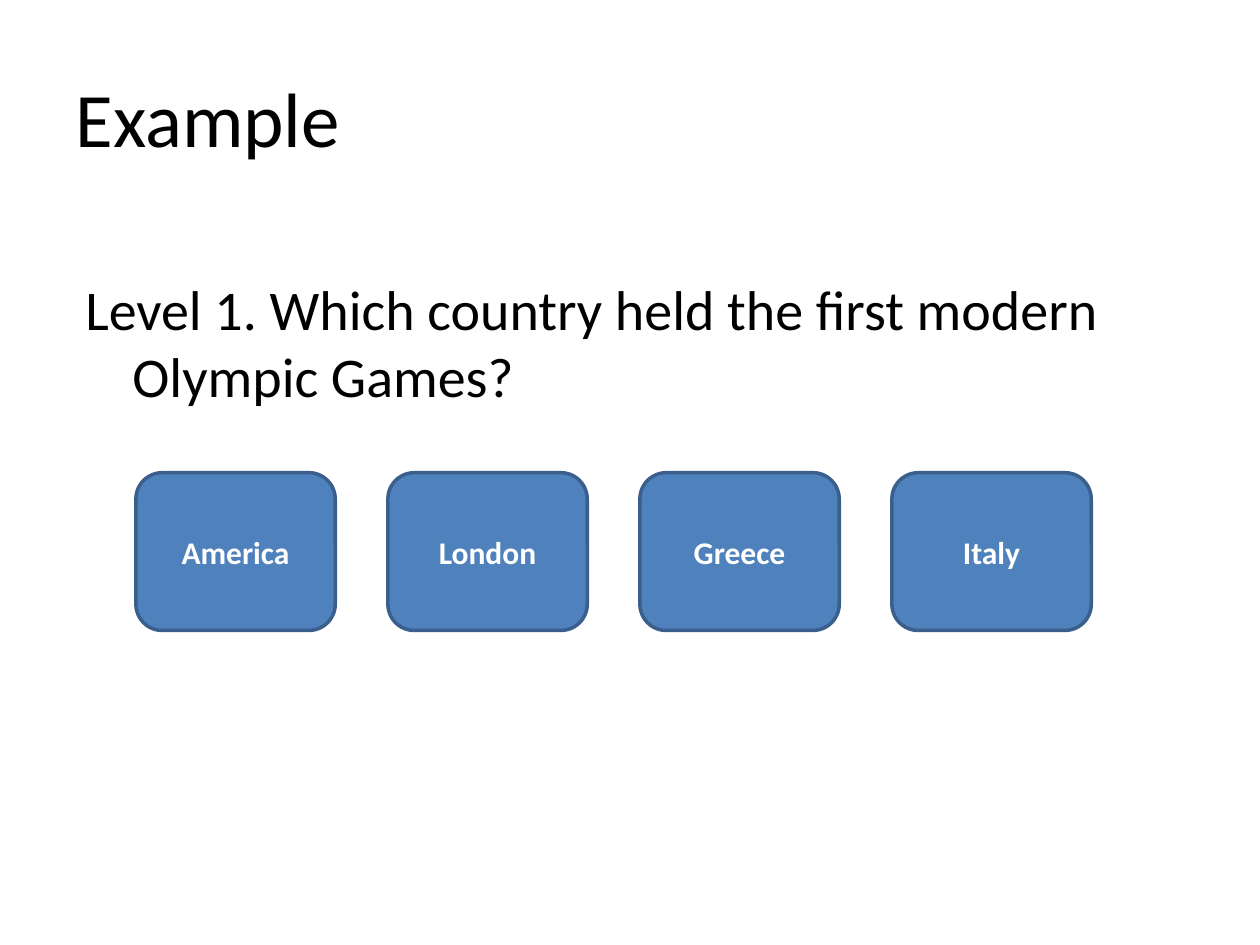
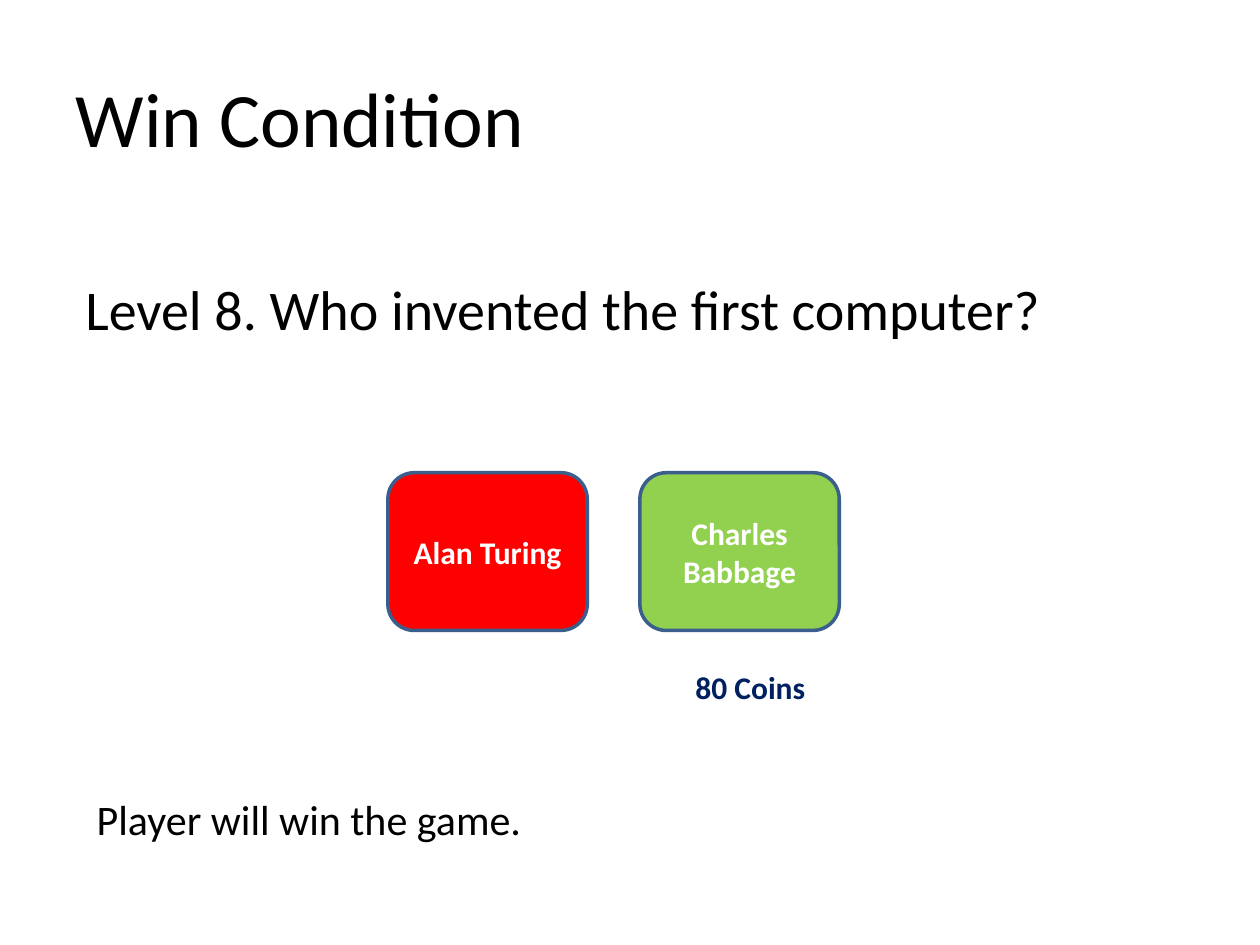
from pptx import Presentation
from pptx.dml.color import RGBColor
from pptx.enum.shapes import MSO_SHAPE
from pptx.enum.text import MSO_ANCHOR, MSO_AUTO_SIZE, PP_ALIGN
from pptx.util import Cm, Pt

COLOURS = {
    "text": "000000",
    "answer": "4F81BD",
    "wrong": "FF0000",
    "right": "92D050",
    "outline": "3A5F8C",
    "label": "FFFFFF",
    "reward": "002060",
}

# Boxes in centimetres: left, top, width, height
TITLE_BOX = (1.27, 0.76, 22.86, 3.18)
QUESTION_BOX = (1.47, 5.41, 22.86, 4)
ANSWERS_BOX = (2.74, 9.53, 19.26, 3.18)
REWARD_BOX = (13.77, 13.34, 3.61, 1.02)
OUTCOME_BOX = (1.7, 15.88, 21.39, 1.27)

ANSWER_SLOTS = 4
ANSWER_GAP = 1.06
HANGING_INDENT = Cm(0.95)

FONTS = {
    "title": {"name": "Calibri", "size": Pt(44), "bold": False},
    "question": {"name": "Calibri", "size": Pt(32), "bold": False},
    "outcome": {"name": "Calibri", "size": Pt(24), "bold": False},
    "label": {"name": "Calibri", "size": Pt(18), "bold": True},
}


def rgb(colour):
    return RGBColor.from_string(COLOURS[colour])


def set_all(target, values):
    for name, value in values.items():
        setattr(target, name, value)


def write(frame, text, style, colour="text", align=PP_ALIGN.LEFT, **frame_values):
    """Put one formatted paragraph into a text frame."""
    set_all(frame, {"word_wrap": True, **frame_values})
    para = frame.paragraphs[0]
    para.alignment = align
    span = para.add_run()
    span.text = text
    set_all(span.font, FONTS[style])
    span.font.color.rgb = rgb(colour)
    return para


def add_text(page, box, text, style, colour="text", **frame_values):
    frame = page.shapes.add_textbox(*map(Cm, box)).text_frame
    return write(frame, text, style, colour, **frame_values)


def add_title(page, box, text):
    title = page.shapes.title
    set_all(title, dict(zip(("left", "top", "width", "height"), map(Cm, box))))
    write(title.text_frame, text, "title", vertical_anchor=MSO_ANCHOR.MIDDLE)


def add_question(page, box, text):
    para = add_text(page, box, text, "question")
    para.space_before = Pt(6.4)
    # Hanging indent
    properties = para._p.get_or_add_pPr()
    properties.set("marL", str(HANGING_INDENT))
    properties.set("indent", str(-HANGING_INDENT))


def add_answers(page, box, answers):
    """Place (slot, text, fill) answers on a row of equal slots."""
    left, top, width, height = box
    slot_width = (width - ANSWER_GAP * (ANSWER_SLOTS - 1)) / ANSWER_SLOTS
    for slot, text, fill in answers:
        x = left + slot * (slot_width + ANSWER_GAP)
        button = page.shapes.add_shape(
            MSO_SHAPE.ROUNDED_RECTANGLE, Cm(x), Cm(top), Cm(slot_width), Cm(height))
        button.shadow.inherit = False
        button.fill.solid()
        button.fill.fore_color.rgb = rgb(fill)
        button.line.color.rgb = rgb("outline")
        button.line.width = Pt(2)
        write(button.text_frame, text, "label", "label", PP_ALIGN.CENTER,
              vertical_anchor=MSO_ANCHOR.MIDDLE)


def add_quiz_page(deck, title, question, answers):
    page = deck.slides.add_slide(deck.slide_layouts.get_by_name("Title Only"))
    add_title(page, TITLE_BOX, title)
    add_question(page, QUESTION_BOX, question)
    add_answers(page, ANSWERS_BOX, answers)
    return page


deck = Presentation()
set_all(deck, {"slide_width": Cm(25.4), "slide_height": Cm(19.05)})

# Example question
countries = ("America", "London", "Greece", "Italy")
add_quiz_page(
    deck, "Example",
    "Level 1. Which country held the first modern Olympic Games?",
    [(slot, country, "answer") for slot, country in enumerate(countries)])

# Final question with its reward
win_page = add_quiz_page(
    deck, "Win Condition", "Level 8. Who invented the first computer?",
    [(1, "Alan Turing", "wrong"), (2, "Charles Babbage", "right")])
grow = {"auto_size": MSO_AUTO_SIZE.SHAPE_TO_FIT_TEXT}
add_text(win_page, REWARD_BOX, "80 Coins", "label", "reward", **grow)
add_text(win_page, OUTCOME_BOX, "Player will win the game.", "outcome", **grow)

deck.save("out.pptx")
